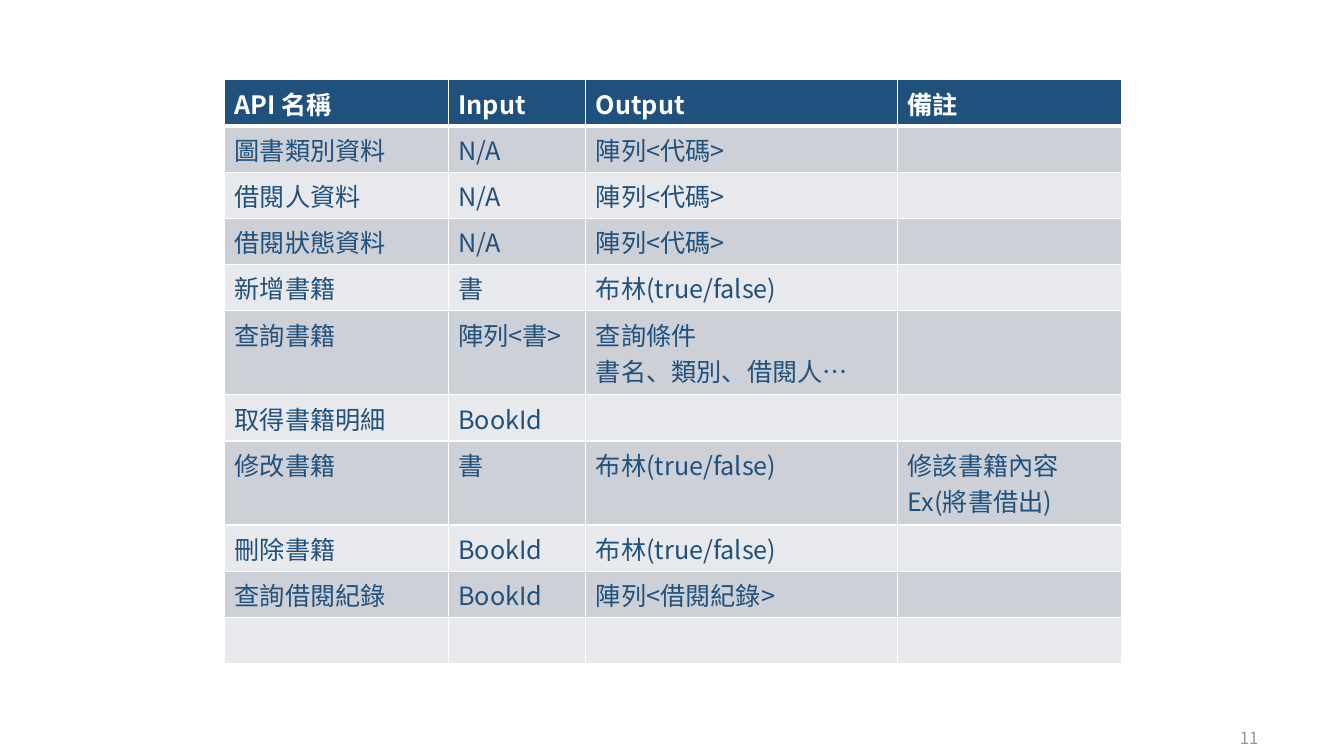
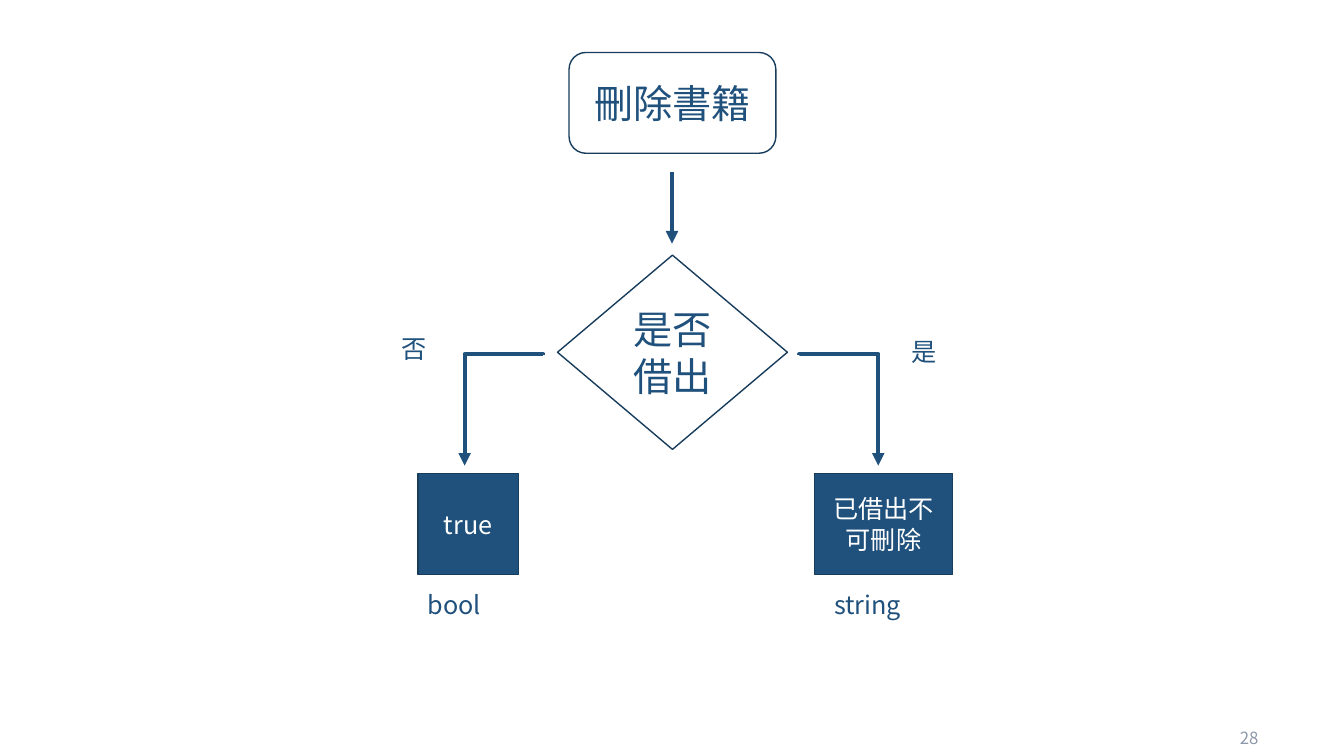
from lxml import etree
from pptx import Presentation
from pptx.dml.color import RGBColor
from pptx.enum import shapes, text
from pptx.oxml import ns
from pptx.util import Pt

PX = 9525
FONT = "Noto Sans CJK SC"
NAVY = RGBColor(0x20, 0x51, 0x7C)
EDGE = RGBColor(0x18, 0x3C, 0x5C)
GREY = RGBColor(0x8D, 0x98, 0xAA)
DARK = RGBColor(0xCD, 0xD0, 0xD7)
PALE = RGBColor(0xE8, 0xE9, 0xEC)
WHITE = RGBColor(0xFF, 0xFF, 0xFF)
LEFT, MID, RIGHT = (text.PP_ALIGN.LEFT, text.PP_ALIGN.CENTER,
                    text.PP_ALIGN.RIGHT)
KIND = shapes.MSO_SHAPE
LINK = shapes.MSO_CONNECTOR


def sub(node, tag, **attrs):
    return etree.SubElement(node, ns.qn(tag), attrs)


def write(frame, words, size, color, align=LEFT, bold=False):
    frame.word_wrap = True
    for i, line in enumerate(words.split("\n")):
        para = frame.add_paragraph() if i else frame.paragraphs[0]
        para.alignment = align
        run = para.add_run()
        run.text = line
        look = {"size": Pt(size), "bold": bold, "name": FONT}
        for key, value in look.items():
            setattr(run.font, key, value)
        run.font.color.rgb = color
        sub(run.font._element, "a:ea", typeface=FONT)


deck = Presentation()
deck.slide_width, deck.slide_height = 1280 * PX, 720 * PX

# Slides with their page numbers
pages = []
for number in ("11", "28"):
    page = deck.slides.add_slide(deck.slide_layouts[6])
    box = page.shapes.add_textbox(920 * PX, 684 * PX, 288 * PX, 38 * PX)
    box.text_frame.vertical_anchor = text.MSO_ANCHOR.MIDDLE
    write(box.text_frame, number, 12, GREY, RIGHT)
    pages.append(page)
list_page, flow_page = pages

# API table: rows 5 and 7 hold two lines
rows = [
    ("API 名稱", "Input", "Output", "備註"),
    ("圖書類別資料", "N/A", "陣列<代碼>", ""),
    ("借閱人資料", "N/A", "陣列<代碼>", ""),
    ("借閱狀態資料", "N/A", "陣列<代碼>", ""),
    ("新增書籍", "書", "布林(true/false)", ""),
    ("查詢書籍", "陣列<書>", "查詢條件\n書名、類別、借閱人…", ""),
    ("取得書籍明細", "BookId", "", ""),
    ("修改書籍", "書", "布林(true/false)", "修該書籍內容\nEx(將書借出)"),
    ("刪除書籍", "BookId", "布林(true/false)", ""),
    ("查詢借閱紀錄", "BookId", "陣列<借閱紀錄>", ""),
    ("", "", "", ""),
]
widths = (213, 131, 297, 213)
highs = [80 if "\n" in "".join(row) else 44 for row in rows]
grid = list_page.shapes.add_table(
    len(rows), len(widths), 214 * PX, 76 * PX,
    sum(widths) * PX, sum(highs) * PX).table
grid.horz_banding = False
for col, width in zip(grid.columns, widths):
    col.width = width * PX
for r, row in enumerate(rows):
    grid.rows[r].height = highs[r] * PX
    head = r == 0
    for c, words in enumerate(row):
        cell = grid.cell(r, c)
        props = cell._tc.get_or_add_tcPr()
        sides = {"L": 1, "R": 1, "T": 3 if r == 1 else 1, "B": 3 if head else 1}
        for side, width in sides.items():
            line = sub(props, "a:ln" + side, w=str(Pt(width)))
            sub(sub(line, "a:solidFill"), "a:srgbClr", val=str(WHITE))
        cell.fill.solid()
        cell.fill.fore_color.rgb = NAVY if head else DARK if r % 2 else PALE
        if words:
            write(cell.text_frame, words, 18, WHITE if head else NAVY,
                  bold=head)

# Flow chart boxes
for kind, x, y, w, h, fill, size, ink, words in (
    (KIND.ROUNDED_RECTANGLE, 542, 50, 197, 96, WHITE, 28, NAVY, "刪除書籍"),
    (KIND.FLOWCHART_DECISION, 531, 243, 219, 185, WHITE, 28, NAVY, "是否借出"),
    (KIND.RECTANGLE, 398, 451, 96, 96, NAVY, 18, WHITE, "true"),
    (KIND.RECTANGLE, 776, 451, 131, 96, NAVY, 18, WHITE, "已借出不可刪除"),
):
    node = flow_page.shapes.add_shape(kind, x * PX, y * PX, w * PX, h * PX)
    node.shadow.inherit = False
    node.fill.solid()
    node.fill.fore_color.rgb = fill
    node.line.color.rgb = EDGE
    node.line.width = Pt(1)
    node.text_frame.vertical_anchor = text.MSO_ANCHOR.MIDDLE
    write(node.text_frame, words, size, ink, MID)

# Arrows: one straight, two elbows turned to run sideways and then down
for kind, x1, y1, x2, y2, turn in (
    (LINK.STRAIGHT, 640, 164, 640, 232, 0),
    (LINK.ELBOW, 427, 353, 533, 428, 90),
    (LINK.ELBOW, 852, 353, 746, 428, 270),
):
    arrow = flow_page.shapes.add_connector(
        kind, x1 * PX, y1 * PX, x2 * PX, y2 * PX)
    arrow.line.color.rgb = NAVY
    arrow.line.width = Pt(3)
    props = arrow._element.spPr
    sub(props.find(ns.qn("a:ln")), "a:tailEnd", type="triangle")
    sub(props, "a:effectLst")
    if turn:
        props.find(ns.qn("a:xfrm")).set("rot", str(turn * 60000))
        bends = props.find(ns.qn("a:prstGeom")).find(ns.qn("a:avLst"))
        sub(bends, "a:gd", name="adj1", fmla="val -400")

# Labels for branches and return types
for x, y, w, words in (
    (859, 316, 48, "是"),
    (373, 313, 48, "否"),
    (398, 557, 96, "bool"),
    (785, 557, 96, "string"),
):
    label = flow_page.shapes.add_textbox(x * PX, y * PX, w * PX, 38 * PX)
    write(label.text_frame, words, 18, NAVY)

deck.save("out.pptx")
